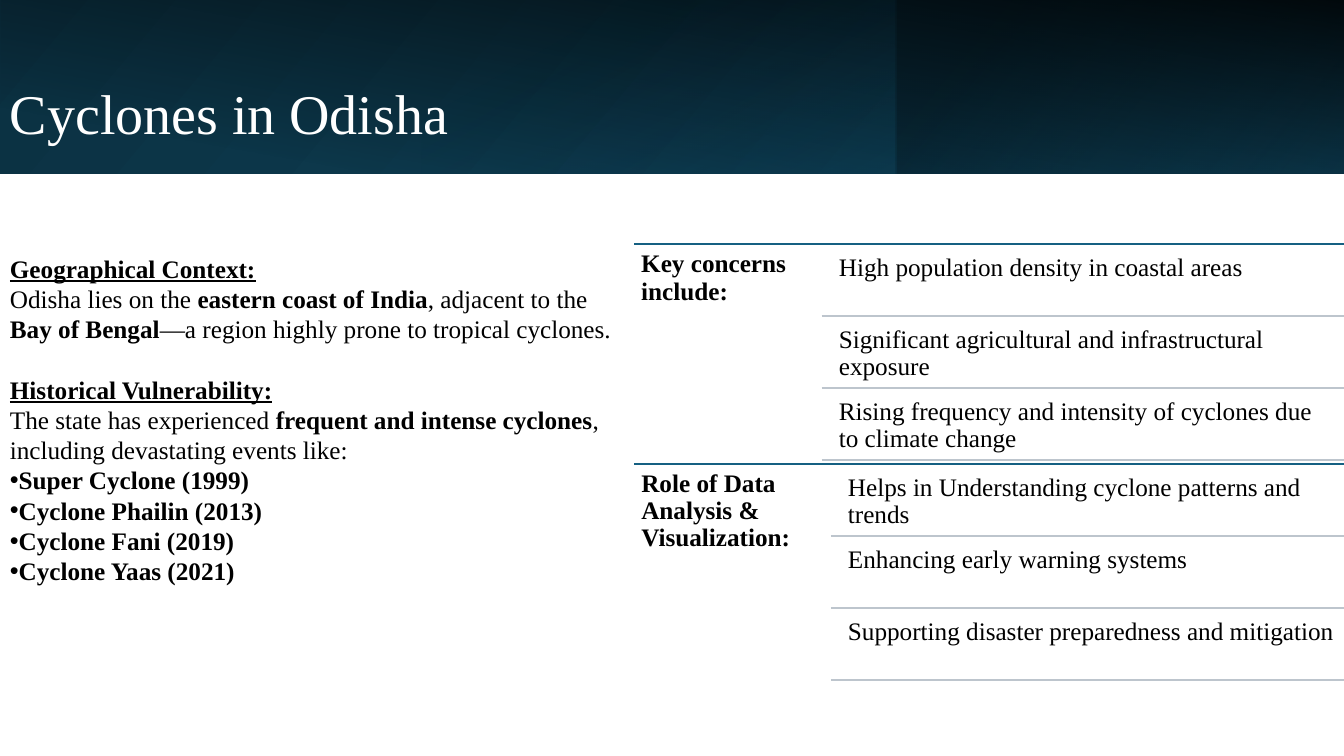
"""Build the slide on cyclones in Odisha."""
from lxml import etree
from pptx import Presentation, util as u
from pptx.dml.color import RGBColor
from pptx.enum import shapes, text
from pptx.oxml import ns

W, H = 13.33, 7.5
FONT = "Times New Roman"
HUES = {"ink": "000000", "paper": "FFFFFF", "navy": "0B3041", "deep": "104862",
        "teal": "156082", "mist": "BDC5CD"}
BAND = 0.23 * H
SPLIT = W * 2 / 3
TITLE = "Cyclones in Odisha"
STORY = [
    [("Geographical Context:\n", "bu"), ("Odisha lies on the ", ""),
     ("eastern coast of India", "b"), (", adjacent to the ", ""),
     ("Bay of Bengal", "b"),
     ("—a region highly prone to tropical cyclones.", "")],
    [("Historical Vulnerability:\n", "bu"), ("The state has experienced ", ""),
     ("frequent and intense cyclones", "b"),
     (", including devastating events like:", "")],
]
EVENTS = ["Super Cyclone (1999)", "Cyclone Phailin (2013)",
          "Cyclone Fani (2019)", "Cyclone Yaas (2021)"]
TOPICS = [
    ("Key concerns include:", 1.86,
     ["High population density in coastal areas",
      "Significant agricultural and infrastructural exposure",
      "Rising frequency and intensity of cyclones due to climate change"]),
    ("Role of Data Analysis & Visualization:", 1.95,
     ["Helps in Understanding cyclone patterns and trends",
      "Enhancing early warning systems",
      "Supporting disaster preparedness and mitigation"]),
]
LEFT, TOP, PART = 6.29, 2.42, 2.18
STEP, GAP = 0.716, 0.036
LAYERS = [
    ((0, 0, W, BAND), 0, True, 140, [(0, "navy", 100), (100, "deep", 100)]),
    ((SPLIT, 0, W - SPLIT, BAND), 180, True, 320,
     [(19, "navy", 68), (100, "teal", 79)]),
    (((W - BAND) / 2, (BAND - W) / 2, BAND, W), 90, False, 190,
     [(16, "ink", 0), (99, "ink", 87)]),
    ((4.18, 0, SPLIT - 4.18, BAND), 0, False, 240,
     [(0, "teal", 17), (74, "navy", 0)]),
]


def inch(*sizes):
    return [u.Inches(size) for size in sizes]


def child(node, tag, **attrs):
    item = etree.SubElement(node, ns.qn(tag))
    for key, val in attrs.items():
        item.set(key, str(val))
    return item


def layer(host, box, turn, flip, angle, stops):
    shape = host.add_shape(shapes.MSO_SHAPE.RECTANGLE, *inch(*box))
    shape.shadow.inherit = False
    shape.line.fill.background()
    shape.rotation = turn
    props = shape._element.spPr
    if flip:
        props.find(ns.qn("a:xfrm")).set("flipH", "1")
    grad = etree.Element(ns.qn("a:gradFill"), rotWithShape="1")
    ramp = child(grad, "a:gsLst")
    for pos, hue, alpha in stops:
        stop = child(ramp, "a:gs", pos=pos * 1000)
        tint = child(stop, "a:srgbClr", val=HUES[hue])
        child(tint, "a:alpha", val=alpha * 1000)
    child(grad, "a:lin", ang=angle * 60000, scaled=0)
    props.find(ns.qn("a:prstGeom")).addnext(grad)


def write(host, paras, box, size=18, hue="ink", pad=(0.1, 0.05),
          mid=False, lead=None, gap=0, dots=0):
    shape = host.add_textbox(*inch(*box))
    frame = shape.text_frame
    frame.word_wrap = True
    frame.margin_left = frame.margin_right = u.Inches(pad[0])
    frame.margin_top = frame.margin_bottom = u.Inches(pad[1])
    anchor = text.MSO_ANCHOR
    frame.vertical_anchor = anchor.MIDDLE if mid else anchor.TOP
    for num, runs in enumerate(paras):
        para = frame.add_paragraph() if num else frame.paragraphs[0]
        para.line_spacing = lead
        if num >= len(paras) - dots:
            props = para._p.get_or_add_pPr()
            props.set("marL", "0")
            props.set("indent", "0")
            child(props, "a:buFont", typeface="Arial")
            child(props, "a:buChar", char="•")
        elif num:
            para.space_before = u.Pt(gap)
        for words, style in runs:
            run = para.add_run()
            run.text = words.rstrip("\n")
            font = run.font
            font.name, font.size = FONT, u.Pt(size)
            font.bold, font.underline = "b" in style, "u" in style
            font.color.rgb = RGBColor.from_string(HUES[hue])
            if words.endswith("\n"):
                para.add_line_break()


def rule(host, left, top, hue):
    line = host.add_connector(shapes.MSO_CONNECTOR.STRAIGHT,
                              *inch(left, top, W, top))
    line.line.width = u.Pt(1.5)
    line.line.color.rgb = RGBColor.from_string(HUES[hue])
    child(line._element.spPr, "a:effectLst")


def main():
    deck = Presentation()
    deck.slide_width, deck.slide_height = inch(W, H)
    host = deck.slides.add_slide(deck.slide_layouts[6]).shapes
    for item in LAYERS:
        layer(host, *item)
    write(host, [[(TITLE, "")]], (0, 0.66, 7.76, 0.98), size=40,
          hue="paper", mid=True, lead=0.9)
    story = STORY + [[(name, "b")] for name in EVENTS]
    write(host, story, (0, TOP, LEFT, 3.74), pad=(0.1, 0.09), gap=21.6,
          dots=len(EVENTS))
    group = host.add_group_shape().shapes
    cell = {"pad": (0.07, 0.07), "lead": 0.9}
    for num, (head, wide, rows) in enumerate(TOPICS):
        top = TOP + num * PART
        rule(group, LEFT, top, "teal")
        write(group, [[(head, "b")]], (LEFT, top, wide, PART), **cell)
        edge = LEFT + wide
        for row, words in enumerate(rows):
            low = top + row * STEP + GAP
            write(group, [[(words, "")]],
                  (edge + 0.1, low, W - edge - 0.1, STEP - GAP), **cell)
            rule(group, edge, low + STEP - GAP, "mist")
    deck.save("out.pptx")


if __name__ == "__main__":
    main()
